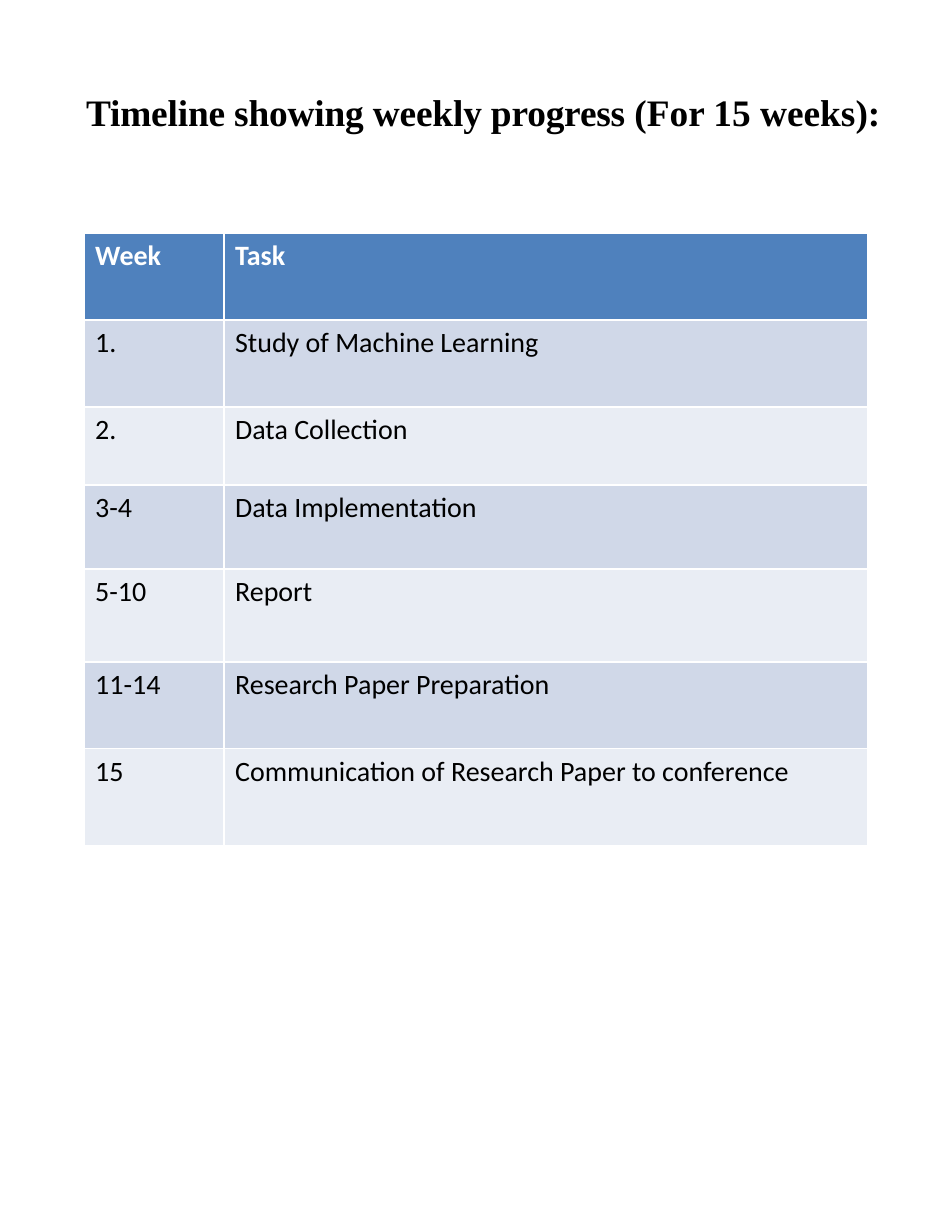
import pptx
import pptx.dml.color
import pptx.util

PX = 914400 // 112
TITLE_RUNS = [("Timeline showing weekly progress", "-10"), (" (For 15 weeks):", "0")]
COLUMN_WIDTHS = [140, 644]
ROW_HEIGHTS = [87, 87, 78, 84, 93, 87, 97]
SCHEDULE = [
    ("Week", "Task"),
    ("1.", "Study of Machine Learning"),
    ("2.", "Data Collection"),
    ("3-4", "Data Implementation"),
    ("5-10", "Report"),
    ("11-14", "Research Paper Preparation"),
    ("15", "Communication of Research Paper to conference"),
]
HEADER_FILL = "4F81BD"
BAND_FILLS = ["E9EDF4", "D0D8E8"]


def px(length):
    """Turn a length in px into EMU."""
    return pptx.util.Emu(length * PX)


def color(hex_string):
    """Turn a hex string into a colour."""
    return pptx.dml.color.RGBColor.from_string(hex_string)


def style_font(font, name, size, hex_string, bold):
    """Set the typeface, size, colour and weight of a font."""
    font.name = name
    font.size = pptx.util.Pt(size)
    font.color.rgb = color(hex_string)
    font.bold = bold


def add_title(slide, left, top, width, height):
    """Write the slide title in the given box."""
    shape = slide.shapes.add_textbox(px(left), px(top), px(width), px(height))
    shape.text_frame.word_wrap = True
    paragraph = shape.text_frame.paragraphs[0]
    style_font(paragraph.font, "Times New Roman", 24, "000000", True)
    for text, spacing in TITLE_RUNS:
        run = paragraph.add_run()
        run.text = text
        run._r.get_or_add_rPr().set("spc", spacing)


def add_schedule(slide, left, top):
    """Build the table of weeks and tasks from the given corner."""
    table = slide.shapes.add_table(
        len(SCHEDULE), len(COLUMN_WIDTHS), px(left), px(top),
        px(sum(COLUMN_WIDTHS)), px(sum(ROW_HEIGHTS)),
    ).table
    for column, width in zip(table.columns, COLUMN_WIDTHS):
        column.width = px(width)
    for index, (row, texts) in enumerate(zip(table.rows, SCHEDULE)):
        row.height = px(ROW_HEIGHTS[index])
        header = index == 0
        for cell, text in zip(row.cells, texts):
            cell.text = text
            cell.fill.solid()
            cell.fill.fore_color.rgb = color(HEADER_FILL if header else BAND_FILLS[index % 2])
            style_font(cell.text_frame.paragraphs[0].font, "Calibri", 18,
                       "FFFFFF" if header else "000000", header)


def main():
    """Build and save the presentation."""
    presentation = pptx.Presentation()
    presentation.slide_width = px(952)
    presentation.slide_height = px(1232)
    slide = presentation.slides.add_slide(presentation.slide_layouts[6])
    add_title(slide, 75, 84, 849, 91)
    add_schedule(slide, 84, 233)
    presentation.save("out.pptx")


if __name__ == "__main__":
    main()
